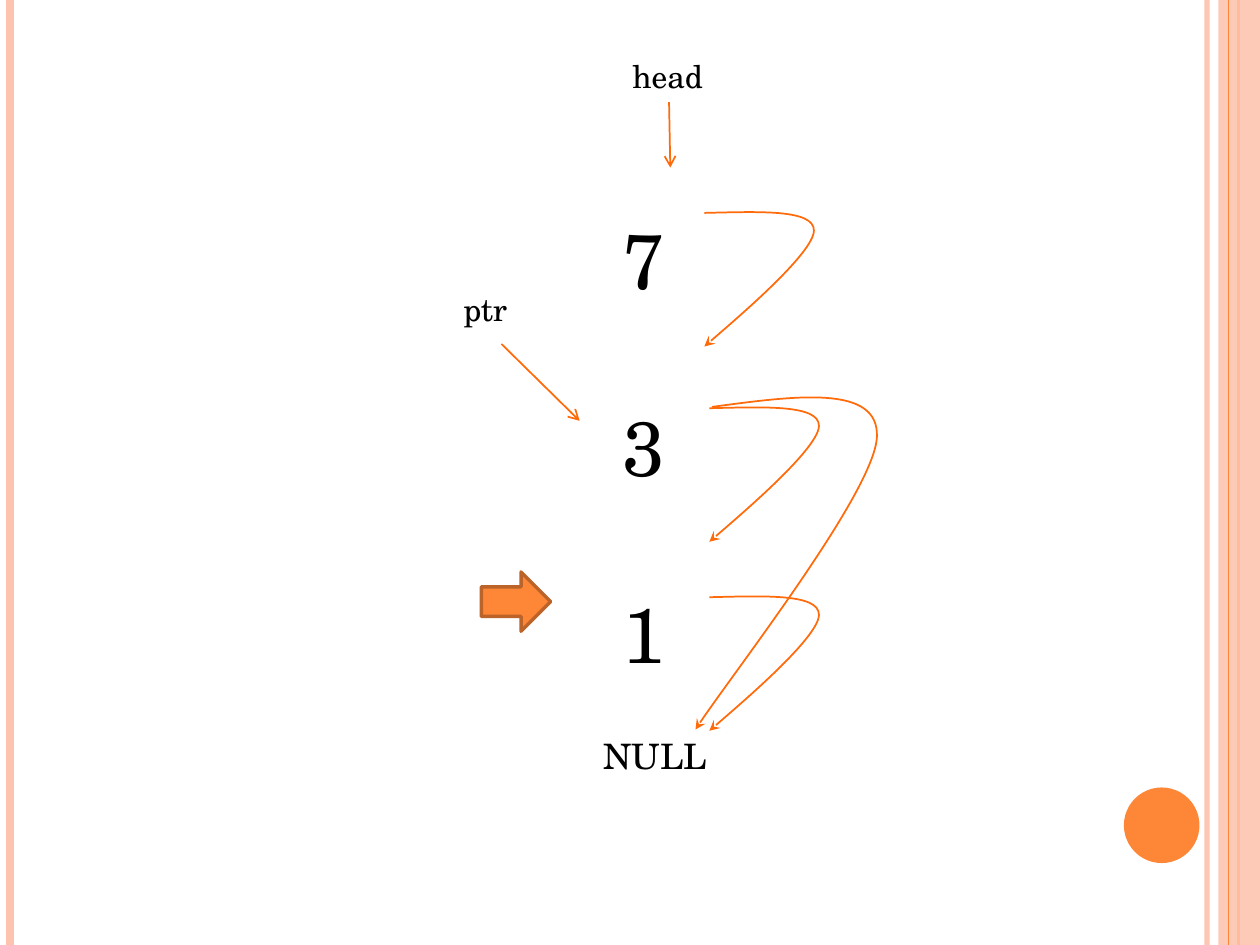
from typing import NamedTuple, Optional

from lxml import etree
from pptx import Presentation
from pptx.dml.color import RGBColor
from pptx.enum.shapes import MSO_CONNECTOR, MSO_SHAPE
from pptx.oxml import ns
from pptx.util import Inches, Pt

ORANGE = RGBColor(0xFE, 0x86, 0x37)
DARK_ORANGE = RGBColor(0xBC, 0x63, 0x29)
LINK_ORANGE = RGBColor(0xFF, 0x6B, 0x0A)
PEACH = RGBColor(0xFE, 0xC3, 0xAE)
BLACK = RGBColor(0, 0, 0)
FONT = "TeX Gyre Schola"

SLIDE_WIDTH, SLIDE_HEIGHT = 10, 7.5
NODE_TOP, NODE_PITCH = 1.64, 1.485

Point = tuple[float, float]


class Label(NamedTuple):
    text: str
    left: float
    top: float
    width: float
    height: float
    size: float
    wrap: bool = True


class Line(NamedTuple):
    start: Point
    end: Point
    color: RGBColor
    width: float
    opacity: int = 100
    tail: Optional[str] = None


class Block(NamedTuple):
    kind: MSO_SHAPE
    left: float
    top: float
    width: float
    height: float
    fill: RGBColor
    opacity: int = 100
    border: Optional[RGBColor] = None


def stripe(x: float, color: RGBColor, width: float, opacity: int = 100) -> Line:
    return Line((x, 0), (x, SLIDE_HEIGHT), color, width, opacity)


LEFT_STRIPES = [
    stripe(9.58, PEACH, 3, 93),
    stripe(0.08, PEACH, 4.5),
    stripe(9.83, ORANGE, 1.5),
]
BAND = Block(MSO_SHAPE.RECTANGLE, 9.67, 0, 0.33, SLIDE_HEIGHT, PEACH, 87)
BAND_STRIPE = stripe(9.75, ORANGE, 0.75)
DOT = Block(MSO_SHAPE.OVAL, 8.92, 6.25, 0.6, 0.6, ORANGE)
CURRENT_NODE = Block(MSO_SHAPE.RIGHT_ARROW, 3.82, 4.54, 0.55, 0.47, ORANGE,
                     border=DARK_ORANGE)

NODES = [
    Label(value, 4.84, NODE_TOP + row * NODE_PITCH, 0.39, 0.84, 44)
    for row, value in enumerate("731")
]
LABELS = [
    Label("head", 4.92, 0.4, 0.78, 0.4, 18),
    *NODES,
    Label("ptr", 3.58, 2.25, 0.56, 0.4, 18, wrap=False),
    Label("NULL", 4.69, 5.78, 1.33, 0.44, 20),
]
POINTERS = [
    Line((5.31, 0.81), (5.32, 1.33), LINK_ORANGE, 1, tail="arrow"),
    Line((3.98, 2.73), (4.6, 3.34), LINK_ORANGE, 1, tail="arrow"),
]

LINK_STARTS = [(5.59, 1.69), (5.63, 3.24), (5.63, 4.74)]
LINK_CURVE = [(0, 0), (0.44, -0.01), (0.87, -0.03), (0.87, 0.14),
              (0.87, 0.32), (0, 1.06), (0, 1.06)]
SKIP_LINK = [(5.65, 3.23), (6.32, 3.14), (6.98, 3.05), (6.96, 3.47),
             (6.94, 3.9), (5.75, 5.43), (5.52, 5.79)]


def set_opacity(fill_parent, percent: int) -> None:
    if percent < 100:
        for color in fill_parent.xpath(".//a:srgbClr"):
            etree.SubElement(color, ns.qn("a:alpha"), val=str(percent * 1000))


def format_line(shape, color: RGBColor, width: float, tail: Optional[str]) -> None:
    shape.line.color.rgb = color
    shape.line.width = Pt(width)
    if tail:
        outline = shape.line._get_or_add_ln()
        etree.SubElement(outline, ns.qn("a:tailEnd"), type=tail)


def draw_line(slide, line: Line) -> None:
    ends = [Inches(length) for length in (*line.start, *line.end)]
    connector = slide.shapes.add_connector(MSO_CONNECTOR.STRAIGHT, *ends)
    format_line(connector, line.color, line.width, line.tail)
    properties = connector._element.spPr
    set_opacity(properties, line.opacity)
    etree.SubElement(properties, ns.qn("a:effectLst"))


def draw_block(slide, block: Block) -> None:
    place = [Inches(length) for length in block[1:5]]
    shape = slide.shapes.add_shape(block.kind, *place)
    shape.shadow.inherit = False
    shape.fill.solid()
    shape.fill.fore_color.rgb = block.fill
    set_opacity(shape._element.spPr, block.opacity)
    if block.border:
        format_line(shape, block.border, 2, None)
    else:
        shape.line.fill.background()


def draw_label(slide, label: Label) -> None:
    place = [Inches(length) for length in label[1:5]]
    frame = slide.shapes.add_textbox(*place).text_frame
    frame.word_wrap = label.wrap
    paragraph = frame.paragraphs[0]
    paragraph.text = label.text
    font = paragraph.runs[0].font
    for name, value in {"name": FONT, "size": Pt(label.size)}.items():
        setattr(font, name, value)
    font.color.rgb = BLACK


def draw_curve(slide, points: list[Point]) -> None:
    """Draw a Bézier arrow: a start, then two controls and an end per segment."""
    start, *rest = [(Inches(x), Inches(y)) for x, y in points]
    builder = slide.shapes.build_freeform(*start)
    builder.add_line_segments(rest, close=False)
    curve = builder.convert_to_shape()
    curve.shadow.inherit = False
    curve.fill.background()
    format_line(curve, LINK_ORANGE, 1, "stealth")

    steps = curve._element.xpath(".//a:lnTo")
    for first in range(0, len(steps), 3):
        bezier = etree.Element(ns.qn("a:cubicBezTo"))
        steps[first].addprevious(bezier)
        for step in steps[first:first + 3]:
            bezier.append(step[0])
            step.getparent().remove(step)


def main() -> None:
    deck = Presentation()
    deck.slide_width, deck.slide_height = Inches(SLIDE_WIDTH), Inches(SLIDE_HEIGHT)
    slide = deck.slides.add_slide(deck.slide_layouts[6])

    for line in LEFT_STRIPES:
        draw_line(slide, line)
    draw_block(slide, BAND)
    draw_line(slide, BAND_STRIPE)
    draw_block(slide, DOT)

    for label in LABELS:
        draw_label(slide, label)
    for pointer in POINTERS:
        draw_line(slide, pointer)
    draw_block(slide, CURRENT_NODE)

    for left, top in LINK_STARTS:
        draw_curve(slide, [(left + dx, top + dy) for dx, dy in LINK_CURVE])
    draw_curve(slide, SKIP_LINK)

    deck.save("out.pptx")


if __name__ == "__main__":
    main()
